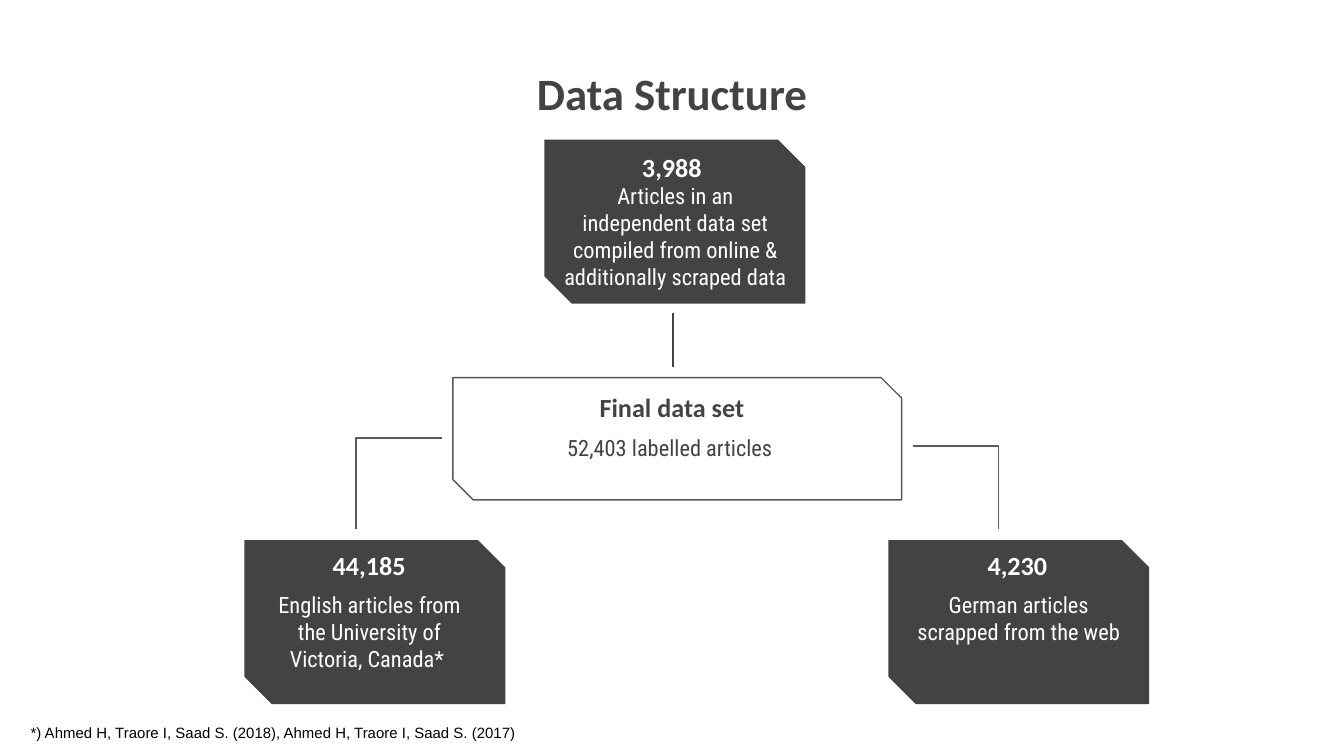
from dataclasses import dataclass
from typing import Optional

from lxml import etree
from pptx import Presentation
from pptx import util as u
from pptx.dml.color import RGBColor
from pptx.enum import shapes, text
from pptx.oxml.ns import qn


@dataclass(frozen=True)
class Theme:
    dark: str = "434343"
    edge: str = "595959"
    light: str = "FFFFFF"
    black: str = "000000"
    bold: str = "Calibri"
    body: str = "Roboto Condensed"
    plain: str = "Arial"
    title: float = 24
    head: float = 14
    note: float = 12
    foot: float = 8
    line: float = 0.75


@dataclass(frozen=True)
class Box:
    """A rectangle in centimetres."""
    x: float
    y: float
    w: float
    h: float

    def size(self) -> tuple:
        return tuple(u.Cm(n) for n in (self.x, self.y, self.w, self.h))


@dataclass(frozen=True)
class Card:
    """A snipped panel with a heading and a note."""
    panel: Box
    head: Box
    note: Box
    title: str
    words: str
    solid: bool = True


@dataclass(frozen=True)
class Link:
    """A line between two points, bent where it ends if asked."""
    x1: float
    y1: float
    x2: float
    y2: float
    color: str
    bent: bool = True


T = Theme()
INSET = 0.25
CENTER = text.PP_ALIGN.CENTER
TOP, BOTTOM = text.MSO_ANCHOR.TOP, text.MSO_ANCHOR.BOTTOM

CARD_W, CARD_H = 4.93, 3.1
HEAD_W, HEAD_H = 3.96, 1.09
NOTE_H = 1.73
LOW = 10.21

CARDS = [
    Card(Box(4.62, LOW, CARD_W, CARD_H), Box(5, 10.13, HEAD_W, HEAD_H),
         Box(4.75, 10.92, 4.47, NOTE_H), "44,185",
         "English articles from the University of Victoria, Canada* "),
    Card(Box(16.79, LOW, CARD_W, CARD_H), Box(17.25, 10.13, HEAD_W, HEAD_H),
         Box(17.02, 10.92, 4.47, NOTE_H), "4,230",
         "German articles scrapped from the web"),
    Card(Box(8.56, 7.14, 8.48, 2.31), Box(10.72, 7.16, HEAD_W, HEAD_H),
         Box(8.86, 7.95, 7.7, 0.81), "Final data set",
         "52,403 labelled articles ", solid=False),
    Card(Box(10.29, 2.64, CARD_W, CARD_H), Box(10.72, 2.62, HEAD_W, HEAD_H),
         Box(10.39, 3.2, 4.75, NOTE_H), "3,988",
         "Articles in an independent data set compiled from online & "
         "additionally scraped data"),
]

LINKS = [
    Link(12.72, 5.92, 12.72, 6.93, T.dark, bent=False),
    Link(8.36, 8.28, 6.73, 10, T.edge),
    Link(17.25, 8.43, 18.87, 10, T.edge),
]


def fill_text(shape, words: str, font: str, size: float, color: str,
              bold: bool = False, align: Optional[int] = CENTER,
              anchor: int = TOP, inset: float = INSET) -> None:
    frame = shape.text_frame
    frame.text = words
    frame.word_wrap = True
    frame.auto_size = text.MSO_AUTO_SIZE.NONE
    frame.vertical_anchor = anchor
    frame.margin_left = frame.margin_right = u.Cm(INSET)
    frame.margin_top = frame.margin_bottom = u.Cm(inset)
    para = frame.paragraphs[0]
    para.alignment = align
    for run in para.runs:
        run.font.name = font
        run.font.size = u.Pt(size)
        run.font.bold = bold
        run.font.color.rgb = RGBColor.from_string(color)


def draw_card(slide, card: Card) -> None:
    # Panel
    panel = slide.shapes.add_shape(
        shapes.MSO_SHAPE.SNIP_2_DIAG_RECTANGLE, *card.panel.size())
    panel.shadow.inherit = False
    if card.solid:
        panel.fill.solid()
        panel.fill.fore_color.rgb = RGBColor.from_string(T.dark)
        panel.line.fill.background()
    else:
        panel.fill.background()
        panel.line.color.rgb = RGBColor.from_string(T.edge)
        panel.line.width = u.Pt(T.line)

    # Heading and note
    color = T.light if card.solid else T.dark
    head = slide.shapes.add_textbox(*card.head.size())
    fill_text(head, card.title, T.bold, T.head, color, bold=True, anchor=BOTTOM)
    note = slide.shapes.add_textbox(*card.note.size())
    fill_text(note, card.words, T.body, T.note, color)


def draw_link(slide, link: Link) -> None:
    kind = shapes.MSO_CONNECTOR.ELBOW if link.bent else shapes.MSO_CONNECTOR.STRAIGHT
    ends = (u.Cm(n) for n in (link.x1, link.y1, link.x2, link.y2))
    line = slide.shapes.add_connector(kind, *ends)
    line.line.color.rgb = RGBColor.from_string(link.color)
    line.line.width = u.Pt(T.line)
    props = line._element.spPr
    etree.SubElement(props, qn("a:effectLst"))
    if link.bent:
        # Turn at the far end, leaving a single corner
        guides = props.find(".//" + qn("a:avLst"))
        etree.SubElement(guides, qn("a:gd"), name="adj1", fmla="val 100000")


def main() -> None:
    deck = Presentation()
    deck.slide_width, deck.slide_height = u.Cm(25.4), u.Cm(14.29)
    slide = deck.slides.add_slide(deck.slide_layouts.get_by_name("Title Only"))

    # Title
    title = slide.shapes.title
    title.left, title.top, title.width, title.height = Box(5.46, 0.99, 14.48, 2.62).size()
    fill_text(title, "Data Structure", T.bold, T.title, T.dark, bold=True)

    # Diagram
    for card in CARDS:
        draw_card(slide, card)
    for link in LINKS:
        draw_link(slide, link)

    # Footnote
    foot = slide.shapes.add_textbox(*Box(0.33, 13.54, 9.86, 0.6).size())
    fill_text(foot, "*) Ahmed H, Traore I, Saad S. (2018), Ahmed H, Traore I, Saad S. (2017)",
              T.plain, T.foot, T.black, align=text.PP_ALIGN.LEFT, inset=0.13)
    foot.text_frame.word_wrap = False

    deck.save("out.pptx")


if __name__ == "__main__":
    main()
